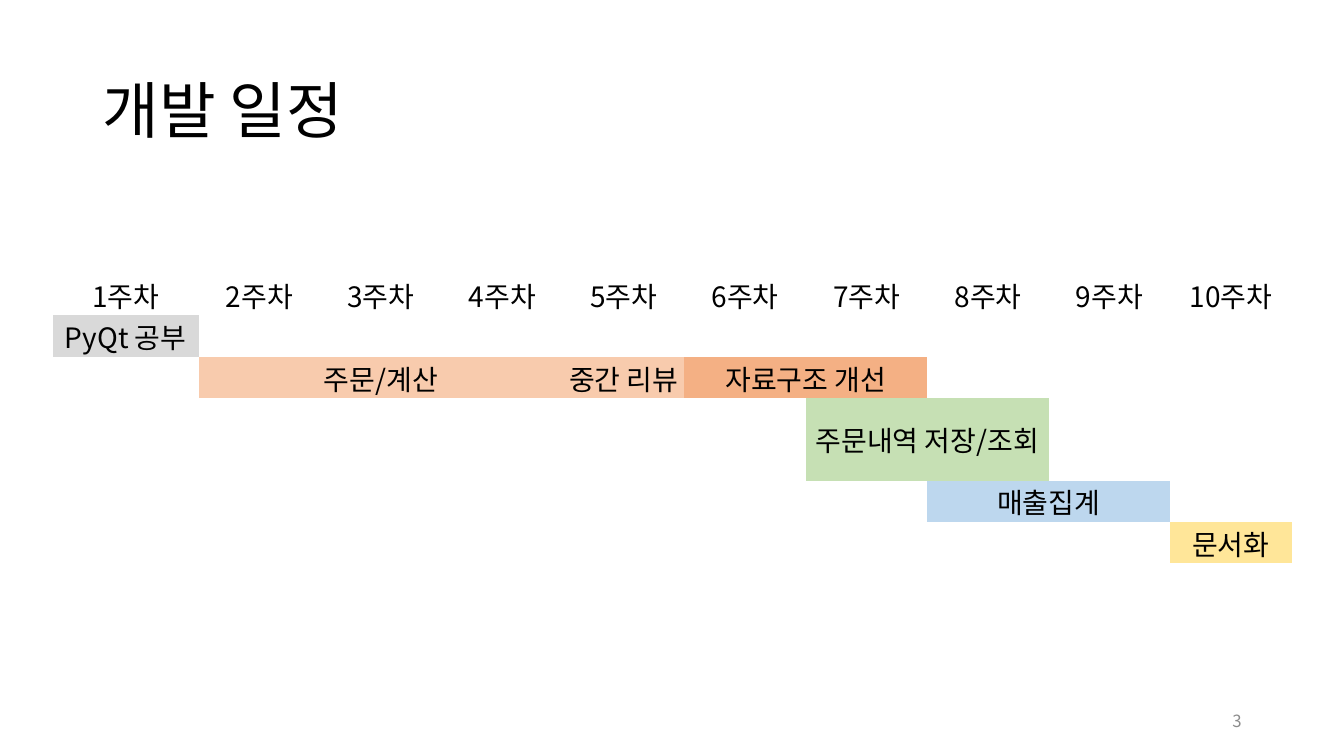
from dataclasses import dataclass

from lxml.etree import SubElement
from pptx import Presentation
from pptx.dml.color import RGBColor
from pptx.enum.text import MSO_ANCHOR, PP_ALIGN
from pptx.oxml.ns import qn
from pptx.table import Table
from pptx.text.text import TextFrame
from pptx.util import Cm, Pt

FONT = "Noto Sans CJK KR"
PLAIN_STYLE = "{2D5ABB26-0587-4C30-8999-92F81FD0307C}"
BLACK = RGBColor(0x00, 0x00, 0x00)
DIM = RGBColor(0x8C, 0x8C, 0x8C)
GRAY = RGBColor(0xD9, 0xD9, 0xD9)
PEACH = RGBColor(0xF8, 0xCB, 0xAD)
ORANGE = RGBColor(0xF4, 0xB0, 0x84)
GREEN = RGBColor(0xC6, 0xE0, 0xB4)
BLUE = RGBColor(0xBD, 0xD7, 0xEE)
YELLOW = RGBColor(0xFF, 0xE6, 0x99)

WEEKS = 10
ROWS = 6
FIRST_WIDTH = Cm(3.68)
WIDTH = Cm(3.06)
HEIGHT = Cm(1.04)
TALL_ROW = 3


@dataclass(frozen=True)
class Task:
    """A piece of work, its row and the weeks it takes."""
    name: str
    row: int
    start: int
    end: int
    color: RGBColor


TASKS = [
    Task("PyQt 공부", 1, 1, 1, GRAY),
    Task("주문/계산", 2, 2, 4, PEACH),
    Task("중간 리뷰", 2, 5, 5, PEACH),
    Task("자료구조 개선", 2, 6, 7, ORANGE),
    Task("주문내역 저장/조회", 3, 7, 8, GREEN),
    Task("매출집계", 4, 8, 9, BLUE),
    Task("문서화", 5, 10, 10, YELLOW),
]


def write(frame: TextFrame, text: str, size: int, color: RGBColor,
          align: PP_ALIGN) -> None:
    """Put one run of styled text into the frame."""
    line = frame.paragraphs[0]
    line.alignment = align
    run = line.add_run()
    run.text = text
    run.font.size = Pt(size)
    run.font.name = FONT
    run.font.color.rgb = color
    SubElement(run.font._element, qn("a:ea"), typeface=FONT)


def label(table: Table, row: int, week: int, text: str) -> None:
    """Write centred text into the cell of a week."""
    write(table.cell(row, week - 1).text_frame, text, 20, BLACK,
          PP_ALIGN.CENTER)


def draw_task(table: Table, task: Task) -> None:
    """Merge, fill and label the cells of a task."""
    cell = table.cell(task.row, task.start - 1)
    if task.end > task.start:
        cell.merge(table.cell(task.row, task.end - 1))
    cell.fill.solid()
    cell.fill.fore_color.rgb = task.color
    label(table, task.row, task.start, task.name)


def add_plan(slide) -> None:
    """Add the schedule table with its weeks and tasks."""
    frame = slide.shapes.add_table(
        ROWS, WEEKS, Cm(1.33), Cm(6.91),
        FIRST_WIDTH + WIDTH * (WEEKS - 1), HEIGHT * (ROWS + 1))
    table = frame.table
    table.first_row = False
    table.horz_banding = False
    for style in frame.element.iter(qn("a:tableStyleId")):
        style.text = PLAIN_STYLE
    for week, column in enumerate(table.columns, 1):
        column.width = FIRST_WIDTH if week == 1 else WIDTH
    for index, row in enumerate(table.rows):
        row.height = HEIGHT * 2 if index == TALL_ROW else HEIGHT
    for cell in table.iter_cells():
        cell.margin_left = cell.margin_right = cell.margin_top = Cm(0.02)
        cell.margin_bottom = 0
        cell.vertical_anchor = MSO_ANCHOR.MIDDLE
        cell.fill.background()
    for week in range(1, WEEKS + 1):
        label(table, 0, week, f"{week}주차")
    for task in TASKS:
        draw_task(table, task)


def add_title(slide) -> None:
    """Place and write the title."""
    title = slide.shapes.title
    title.left, title.top = Cm(2.33), Cm(1.01)
    title.width, title.height = Cm(29.21), Cm(3.68)
    frame = title.text_frame
    frame.vertical_anchor = MSO_ANCHOR.MIDDLE
    frame.paragraphs[0].line_spacing = 0.9
    write(frame, "개발 일정", 44, BLACK, PP_ALIGN.LEFT)


def add_number(slide) -> None:
    """Add the page number at the lower right."""
    box = slide.shapes.add_textbox(Cm(23.92), Cm(17.66), Cm(7.62), Cm(1.01))
    frame = box.text_frame
    frame.word_wrap = True
    frame.vertical_anchor = MSO_ANCHOR.MIDDLE
    write(frame, "3", 12, DIM, PP_ALIGN.RIGHT)


def main() -> None:
    """Build the slide and save it."""
    deck = Presentation()
    deck.slide_width, deck.slide_height = Cm(33.87), Cm(19.05)
    slide = deck.slides.add_slide(deck.slide_layouts[5])
    add_title(slide)
    add_number(slide)
    add_plan(slide)
    deck.save("out.pptx")


main()
